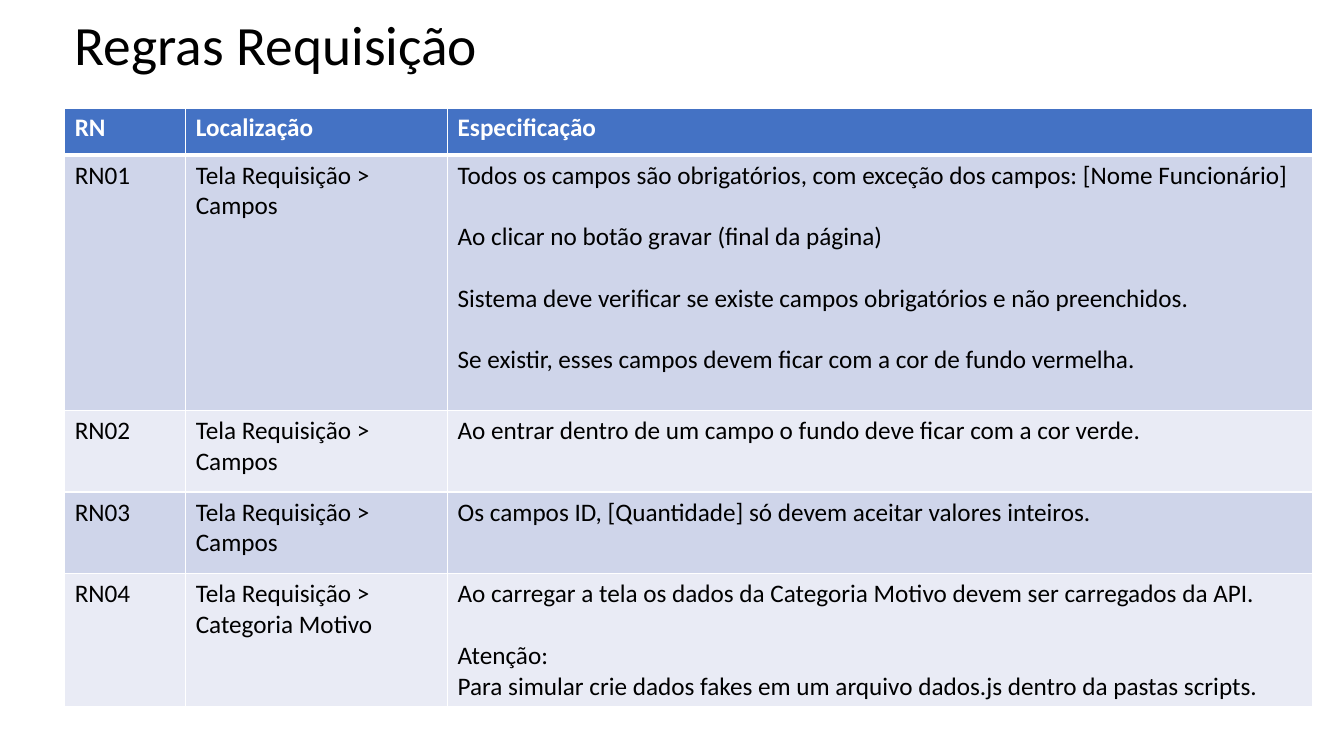
from dataclasses import dataclass

from lxml import etree
from pptx import Presentation
from pptx import util as u
from pptx.dml.color import RGBColor
from pptx.enum import text
from pptx.oxml import ns


@dataclass
class Theme:
    font: str = "Calibri"
    ink: str = "000000"
    white: str = "FFFFFF"
    head: str = "4472C4"
    bands: tuple = ("CFD5EA", "E9EBF5")
    title: float = 39.6
    body: float = 18
    gap: float = 22
    thin: float = 1
    thick: float = 3


TITLE = "Regras Requisição"
HEADS = ["RN", "Localização", "Especificação"]
# Each rule: code, place, blocks of text set apart by a gap; a block lists its lines.
RULES = [
    ("RN01", "Tela Requisição > Campos", [
        ["Todos os campos são obrigatórios, com exceção dos campos: [Nome Funcionário]"],
        ["Ao clicar no botão gravar (final da página)"],
        ["Sistema deve verificar se existe campos obrigatórios e não preenchidos."],
        ["Se existir, esses campos devem ficar com a cor de fundo vermelha."]]),
    ("RN02", "Tela Requisição > Campos", [
        ["Ao entrar dentro de um campo o fundo deve ficar com a cor verde."]]),
    ("RN03", "Tela Requisição > Campos", [
        ["Os campos ID, [Quantidade] só devem aceitar valores inteiros."]]),
    ("RN04", "Tela Requisição > Categoria Motivo", [
        ["Ao carregar a tela os dados da Categoria Motivo devem ser carregados da API."],
        ["Atenção:",
         "Para simular crie dados fakes em um arquivo dados.js dentro da pastas scripts."]]),
]
COLS = [3.05, 6.6, 21.8]
ROWS = [1.19, 6.43, 2.06, 2.06, 3.35]


class Deck:
    def __init__(self, theme):
        self.theme = theme
        self.prs = Presentation()
        self.prs.slide_width = u.Cm(33.87)
        self.prs.slide_height = u.Cm(19.05)
        self.slide = self.prs.slides.add_slide(self.prs.slide_layouts[5])

    def style(self, run, size, color, bold=False):
        form = {"name": self.theme.font, "size": u.Pt(size), "bold": bold}
        for key, value in form.items():
            setattr(run.font, key, value)
        run.font.color.rgb = RGBColor.from_string(color)

    def title(self, words, left, top, width, height):
        shape = self.slide.shapes.title
        box = {"left": left, "top": top, "width": width, "height": height}
        for key, value in box.items():
            setattr(shape, key, u.Cm(value))
        frame = shape.text_frame
        frame.auto_size = text.MSO_AUTO_SIZE.NONE
        frame.vertical_anchor = text.MSO_ANCHOR.MIDDLE
        para = frame.paragraphs[0]
        para.alignment = text.PP_ALIGN.LEFT
        para.line_spacing = 0.9
        run = para.add_run()
        run.text = words
        self.style(run, self.theme.title, self.theme.ink)

    def edge(self, cell, widths):
        """Draw the cell's borders; widths maps L, R, T and B to points."""
        props = cell._tc.get_or_add_tcPr()
        for spot, side in enumerate("LRTB"):
            line = etree.Element(ns.qn(f"a:ln{side}"), w=str(u.Pt(widths[side])))
            fill = etree.SubElement(line, ns.qn("a:solidFill"))
            etree.SubElement(fill, ns.qn("a:srgbClr"), val=self.theme.white)
            props.insert(spot, line)

    def cell(self, cell, blocks, row):
        look = self.theme
        head = row == 0
        cell.fill.solid()
        fill = look.head if head else look.bands[(row - 1) % 2]
        cell.fill.fore_color.rgb = RGBColor.from_string(fill)
        self.edge(cell, {"L": look.thin, "R": look.thin,
                         "T": look.thick if row == 1 else look.thin,
                         "B": look.thick if head else look.thin})
        frame = cell.text_frame
        para = frame.paragraphs[0]
        for i, block in enumerate(blocks):
            for j, line in enumerate(block):
                if i or j:
                    para = frame.add_paragraph()
                if i and not j:
                    para.space_before = u.Pt(look.gap)
                run = para.add_run()
                run.text = line
                self.style(run, look.body, look.white if head else look.ink, head)

    def table(self, heads, rules, left, top, cols, rows):
        grid = self.slide.shapes.add_table(
            len(rows), len(cols), u.Cm(left), u.Cm(top),
            u.Cm(sum(cols)), u.Cm(sum(rows))).table
        for col, width in zip(grid.columns, cols):
            col.width = u.Cm(width)
        for row, height in zip(grid.rows, rows):
            row.height = u.Cm(height)
        data = [[[[head]] for head in heads]]
        data += [[[[code]], [[place]], blocks] for code, place, blocks in rules]
        for r, line in enumerate(data):
            for c, blocks in enumerate(line):
                self.cell(grid.cell(r, c), blocks, r)


def main():
    deck = Deck(Theme())
    deck.title(TITLE, 1.63, 0.48, 29.21, 1.42)
    deck.table(HEADS, RULES, 1.63, 2.72, COLS, ROWS)
    deck.prs.save("out.pptx")


if __name__ == "__main__":
    main()
